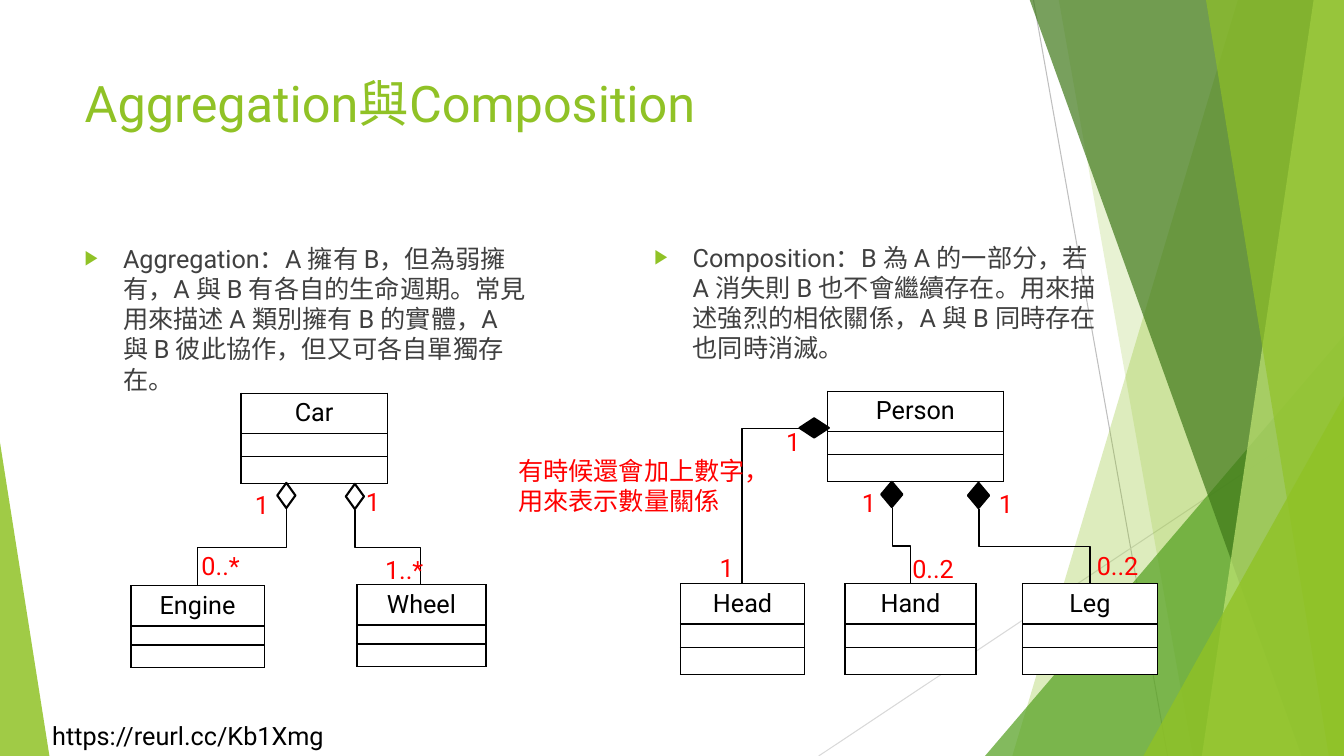
from lxml.etree import SubElement
from pptx import Presentation
from pptx.dml.color import RGBColor
from pptx.enum.shapes import MSO_CONNECTOR, MSO_SHAPE
from pptx.enum.text import MSO_ANCHOR, MSO_AUTO_SIZE, PP_ALIGN
from pptx.oxml.ns import qn
from pptx.util import Pt

PX = 9144  # 100 px to the inch
WIDE, HIGH = 1333, 750
FONT = "Roboto"

BLACK = RGBColor(0, 0, 0)
WHITE = RGBColor(255, 255, 255)
RED = RGBColor(255, 0, 0)
GRAY = RGBColor(0x40, 0x40, 0x40)
SILVER = RGBColor(0xBF, 0xBF, 0xBF)
PALE = RGBColor(0xD9, 0xD9, 0xD9)
GREEN = RGBColor(0x90, 0xC2, 0x26)
LEAF = RGBColor(0x54, 0xA0, 0x21)
FOREST = RGBColor(0x3F, 0x78, 0x19)
LIME = RGBColor(0xC0, 0xE4, 0x74)

# text, box, size, colour
TITLE = ("Aggregation與Composition", (74, 67, 940, 144), 36, GREEN)
BODIES = [
    ("Aggregation：A 擁有 B，但為弱擁有，A 與 B 有各自的生命週期。"
     "常見用來描述 A 類別擁有 B 的實體，A 與 B 彼此協作，但又可各自單獨存在。",
     (74, 236, 458, 424), 18, GRAY),
    ("Composition：B 為 A 的一部分，若 A 消失則 B 也不會繼續存在。"
     "用來描述強烈的相依關係，A 與 B 同時存在也同時消滅。",
     (639, 235, 458, 424), 18, GRAY),
]

# start, end, colour
RAYS = [((1025, 0), (1158, 750), SILVER), ((1333, 403), (812, 750), PALE)]
# Facets reach the right edge: top x, bottom x, colour, opacity in percent
FACETS = [
    (1228, 1004, GREEN, 30),
    (1050, 1183, GREEN, 20),
    (977, 333, LEAF, 72),
    (1021, 1291, FOREST, 70),
    (1303, 1192, LIME, 70),
    (1196, 1318, GREEN, 65),
]
# box, apex place, colour, opacity in percent
WEDGES = {
    "mid": ((977, 333, 356, 417), 1, LEAF, 72),
    "right": ((1134, 393, 199, 357), 1, GREEN, 80),
    "left": ((0, 439, 49, 311), 0, GREEN, 85),
}

TALL, SHORT = (40, 23, 27), (40, 19, 22)
# name, left, top, width, row heights
CLASSES = [
    ("Car", 239, 390, 145, TALL),
    ("Engine", 130, 581, 132, SHORT),
    ("Wheel", 354, 580, 128, SHORT),
    ("Person", 821, 388, 174, TALL),
    ("Hand", 838, 579, 130, TALL),
    ("Leg", 1014, 579, 134, TALL),
    ("Head", 675, 579, 123, TALL),
]
# box, fill
DIAMONDS = [
    ((275, 479, 18, 25), WHITE),
    ((343, 480, 18, 25), WHITE),
    ((874, 478, 21, 25), BLACK),
    ((960, 479, 21, 25), BLACK),
    ((793, 415, 29, 19), BLACK),
]
# Links that leave a diamond downward: start, end
DROPS = [
    ((284, 505), (196, 581)),
    ((352, 506), (417, 580)),
    ((885, 504), (903, 579)),
    ((971, 505), (1081, 579)),
]
SIDE = ((793, 425), (736, 579))
# lines, box, colour
LABELS = [
    (["https://reurl.cc/Kb1Xmg"], (42, 710, 306, 40), BLACK),
    (["有時候還會加上數字，", "用來表示數量關係"], (504, 447, 273, 71), RED),
    (["1"], (770, 418, 34, 40), RED),
    (["1"], (704, 543, 34, 40), RED),
    (["1"], (845, 479, 34, 40), RED),
    (["0..2"], (895, 544, 65, 40), RED),
    (["1"], (981, 480, 34, 40), RED),
    (["0..2"], (1078, 541, 65, 40), RED),
    (["1"], (353, 478, 34, 40), RED),
    (["1..*"], (372, 545, 61, 40), RED),
    (["1"], (243, 481, 34, 40), RED),
    (["0..*"], (190, 541, 61, 40), RED),
]


def emu(nums):
    return [round(n * PX) for n in nums]


def write(para, text, size, color):
    run = para.add_run()
    run.text = text
    for key, val in {"name": FONT, "size": Pt(size), "bold": False}.items():
        setattr(run.font, key, val)
    run.font.color.rgb = color


def paint(shape, color, alpha=100, edge=None):
    shape.shadow.inherit = False
    shape.fill.solid()
    shape.fill.fore_color.rgb = color
    if alpha < 100:
        tint = shape.fill._xPr.find(qn("a:solidFill"))[0]
        SubElement(tint, qn("a:alpha"), val=str(alpha * 1000))
    if edge is None:
        shape.line.fill.background()
    else:
        shape.line.color.rgb = edge
        shape.line.width = Pt(1.5)


def link(slide, kind, start, end, color, width):
    line = slide.shapes.add_connector(kind, *emu(start + end))
    line.line.color.rgb = color
    line.line.width = Pt(width)
    SubElement(line._element.spPr, qn("a:effectLst"))
    return line._element.spPr


def drop(slide, start, end):
    """Draw an elbow that runs down, across and down, as a turned connector."""
    (x1, y1), (x2, y2) = start, end
    mid_x, mid_y = (x1 + x2) / 2, (y1 + y2) / 2
    side = 1 if x2 > x1 else -1
    half_w, half_h = side * (y2 - y1) / 2, abs(x2 - x1) / 2
    props = link(slide, MSO_CONNECTOR.ELBOW, (mid_x + half_w, mid_y - half_h),
                 (mid_x - half_w, mid_y + half_h), BLACK, 1)
    props.find(qn("a:xfrm")).set("rot", str((180 + 90 * side) * 60000))


def wedge(slide, box, apex, color, alpha):
    shape = slide.shapes.add_shape(MSO_SHAPE.ISOSCELES_TRIANGLE, *emu(box))
    shape.adjustments[0] = apex
    paint(shape, color, alpha)


def facet(slide, top, base, color, alpha):
    form = slide.shapes.build_freeform(top, -1, scale=PX)
    form.add_line_segments([(WIDE, -1), (WIDE, HIGH), (base, HIGH)])
    paint(form.convert_to_shape(), color, alpha)


def place(slide, holder, text, box, size, color):
    """Fill a placeholder and bring it in front of the backdrop."""
    holder.left, holder.top, holder.width, holder.height = emu(box)
    frame = holder.text_frame
    frame.auto_size = MSO_AUTO_SIZE.NONE
    frame.vertical_anchor = MSO_ANCHOR.TOP
    para = frame.paragraphs[0]
    para.alignment = PP_ALIGN.LEFT
    para.space_before = Pt(0)
    write(para, text, size, color)
    slide.shapes._spTree.append(holder._element)
    return para


def bullet(para):
    props = para._p.get_or_add_pPr()
    props.set("marL", str(38 * PX))
    props.set("indent", str(-38 * PX))
    tint = SubElement(props, qn("a:buClr"))
    SubElement(tint, qn("a:srgbClr"), val=str(GREEN))
    SubElement(props, qn("a:buSzPct"), val="80000")
    SubElement(props, qn("a:buChar"), char="▶")


def border(cell):
    props = cell._tc.get_or_add_tcPr()
    for edge in ("lnL", "lnR", "lnT", "lnB"):
        line = SubElement(props, qn("a:" + edge), w=str(Pt(1)))
        fill = SubElement(line, qn("a:solidFill"))
        SubElement(fill, qn("a:srgbClr"), val=str(BLACK))


def draw_class(slide, name, left, top, width, rows):
    box = emu((left, top, width, sum(rows)))
    table = slide.shapes.add_table(len(rows), 1, *box).table
    for i, high in enumerate(rows):
        table.rows[i].height = high * PX
        cell = table.cell(i, 0)
        border(cell)
        cell.fill.solid()
        cell.fill.fore_color.rgb = WHITE
        para = cell.text_frame.paragraphs[0]
        if i == 0:
            para.alignment = PP_ALIGN.CENTER
            write(para, name, 18, BLACK)
        else:
            cell.margin_top = cell.margin_bottom = 0
            para._p.get_or_add_endParaRPr().set("sz", "600")


def label(slide, lines, box, color):
    frame = slide.shapes.add_textbox(*emu(box)).text_frame
    frame.word_wrap = False
    for i, text in enumerate(lines):
        para = frame.add_paragraph() if i else frame.paragraphs[0]
        write(para, text, 18, color)


def main():
    deck = Presentation()
    deck.slide_width, deck.slide_height = emu((WIDE, HIGH))
    slide = deck.slides.add_slide(deck.slide_layouts[3])
    title, *bodies = list(slide.placeholders)
    for start, end, color in RAYS:
        link(slide, MSO_CONNECTOR.STRAIGHT, start, end, color, 0.75)
    for item in FACETS:
        if item[2] == LEAF:
            wedge(slide, *WEDGES["mid"])
        else:
            facet(slide, *item)
    for key in ("right", "left"):
        wedge(slide, *WEDGES[key])
    place(slide, title, *TITLE)
    for holder, item in zip(bodies, BODIES):
        bullet(place(slide, holder, *item))
    for item in CLASSES:
        draw_class(slide, *item)
    for box, color in DIAMONDS:
        paint(slide.shapes.add_shape(MSO_SHAPE.DIAMOND, *emu(box)), color, edge=BLACK)
    for start, end in DROPS:
        drop(slide, start, end)
    bend = link(slide, MSO_CONNECTOR.ELBOW, *SIDE, BLACK, 1)
    bend.find(qn("a:prstGeom")).set("prst", "bentConnector2")
    for item in LABELS:
        label(slide, *item)
    deck.save("out.pptx")


if __name__ == "__main__":
    main()
